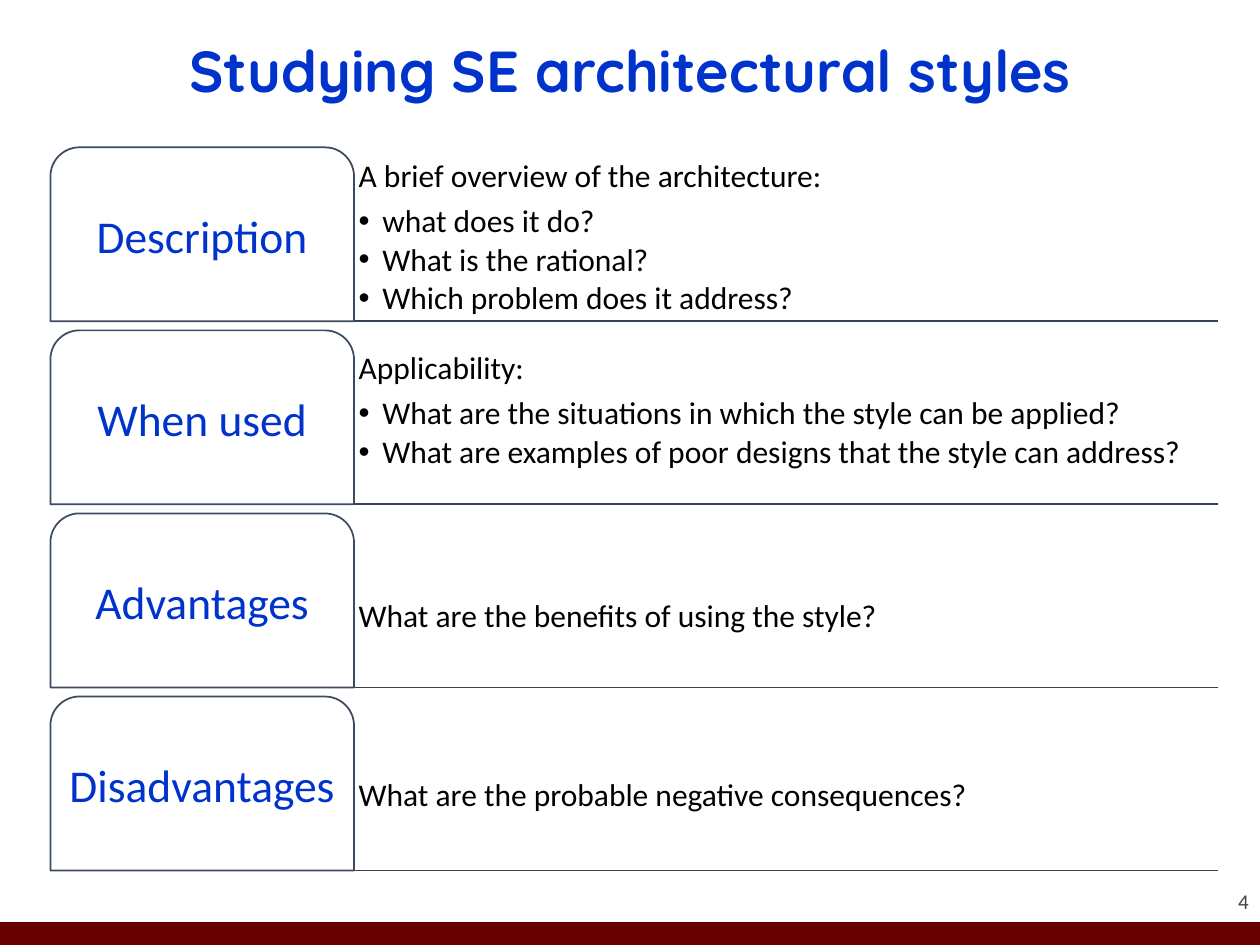
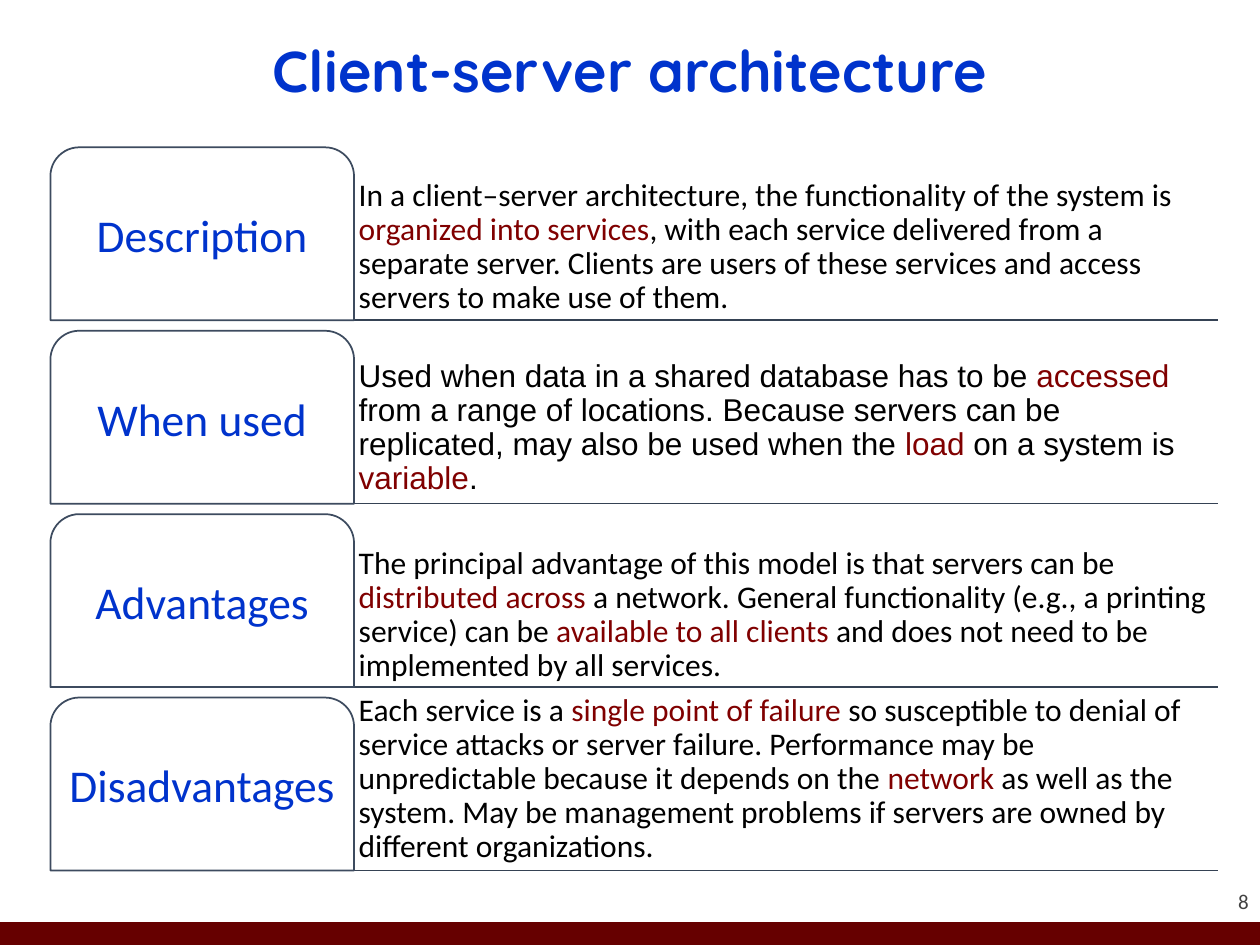
from pptx import Presentation
from pptx.dml.color import RGBColor
from pptx.enum.shapes import MSO_CONNECTOR, MSO_SHAPE
from pptx.enum.text import MSO_ANCHOR, PP_ALIGN
from pptx.oxml.ns import qn
from pptx.util import Pt
from lxml.etree import SubElement

HUES = {
    "band": "660000", "page": "424242", "blue": "0033CC", "rule": "354254",
    "edge": "3D4B5F", "white": "FFFFFF", "black": "000000", "key": "800000",
}
FORMS = {
    "title": {"name": "Quicksand", "size": Pt(33), "bold": True},
    "page": {"name": "Calibri", "size": Pt(12)},
    "label": {"name": "Calibri", "size": Pt(26)},
    "body": {"name": "Calibri", "size": Pt(18)},
    "plain": {"name": "Arial", "size": Pt(18)},
}
LABELS = ["Description", "When used", "Advantages", "Disadvantages"]
LEFT, TOP, WIDE, RIGHT = 28.8, 84.2, 173.5, 696.2
SPLIT = LEFT + WIDE

SLIDES = [
    {
        "title": "Studying SE architectural styles", "page": "4",
        "step": 104.6, "high": 99.4,
        "rows": [
            (84.2, 99.4, "body", [
                "A brief overview of the architecture:",
                "what does it do?",
                "What is the rational?",
                "Which problem does it address?",
            ]),
            (191.5, 79.9, "body", [
                "Applicability:",
                "What are the situations in which the style can be applied?",
                "What are examples of poor designs that the style can address?",
            ]),
            (318.2, 46.8, "body", ["What are the benefits of using the style?"]),
            (426.2, 41, "body", ["What are the probable negative consequences?"]),
        ],
    },
    {
        "title": "Client-server architecture", "page": "8",
        "step": 104.8, "high": 98.8,
        "rows": [
            (84.2, 98.6, "body", [
                "In a client–server architecture, the functionality of the system is "
                "|organized into services|, with each service delivered from a separate "
                "server. Clients are users of these services and access servers to make "
                "use of them.",
            ]),
            (187.9, 98.6, "plain", [
                "Used when data in a shared database has to be |accessed |from a range "
                "of locations. Because servers can be replicated, may also be used when "
                "the |load |on a system is |variable|.",
            ]),
            (291.6, 101.5, "body", [
                "The principal advantage of this model is that servers can be "
                "|distributed across |a network. General functionality (e.g., a printing "
                "service) can be |available to all clients| and does not need to be "
                "implemented by all services.",
            ]),
            (398.2, 98.6, "body", [
                "Each service is a |single point of failure |so susceptible to denial of "
                "service attacks or server failure. Performance may be unpredictable "
                "because it depends on the |network |as well as the system. May be "
                "management problems if servers are owned by different organizations.",
            ]),
        ],
    },
]


def color(name):
    return RGBColor.from_string(HUES[name])


def write(shape, paras, form, hue, align, anchor, inset, space=0.9):
    frame = shape.text_frame
    frame.word_wrap = True
    frame.vertical_anchor = anchor
    for side in ("left", "right", "top", "bottom"):
        setattr(frame, f"margin_{side}", Pt(inset))
    for i, text in enumerate(paras):
        para = frame.add_paragraph() if i else frame.paragraphs[0]
        para.alignment = align
        para.line_spacing = space
        if i:
            para.space_before = Pt(6.3 if i == 1 else 2.7)
            props = para._p.get_or_add_pPr()
            props.set("marL", str(Pt(13.5)))
            props.set("indent", str(Pt(-13.5)))
            SubElement(props, qn("a:buFont")).set("typeface", "Arial")
            SubElement(props, qn("a:buChar")).set("char", "•")
        for j, part in enumerate(text.split("|")):
            run = para.add_run()
            run.text = part
            for key, val in FORMS[form].items():
                setattr(run.font, key, val)
            run.font.color.rgb = color("key" if j % 2 else hue)


deck = Presentation()
deck.slide_width, deck.slide_height = Pt(720), Pt(540)

for page in SLIDES:
    slide = deck.slides.add_slide(deck.slide_layouts[6])
    shapes = slide.shapes

    band = shapes.add_shape(MSO_SHAPE.RECTANGLE, Pt(0), Pt(527), Pt(720), Pt(13))
    band.shadow.inherit = False
    band.fill.solid()
    band.fill.fore_color.rgb = color("band")
    band.line.fill.background()

    num = shapes.add_textbox(Pt(653.8), Pt(493.2), Pt(59.8), Pt(28.8))
    write(num, [page["page"]], "page", "page", PP_ALIGN.RIGHT, MSO_ANCHOR.BOTTOM, 0, 1.0)
    title = shapes.add_textbox(Pt(49.7), Pt(8.6), Pt(620.6), Pt(67.7))
    write(title, [page["title"]], "title", "blue", PP_ALIGN.CENTER, MSO_ANCHOR.MIDDLE, 3.6)

    for i, (label, row) in enumerate(zip(LABELS, page["rows"])):
        top = TOP + i * page["step"]
        base = top + page["high"]
        rule = shapes.add_connector(
            MSO_CONNECTOR.STRAIGHT, Pt(LEFT), Pt(base), Pt(RIGHT), Pt(base))
        rule.line.color.rgb = color("rule")
        rule.line.width = Pt(1)
        SubElement(rule._element.spPr, qn("a:effectLst"))

        y, high, form, paras = row
        note = shapes.add_textbox(Pt(SPLIT), Pt(y), Pt(RIGHT - SPLIT), Pt(high))
        write(note, paras, form, "black", PP_ALIGN.LEFT, MSO_ANCHOR.BOTTOM, 2.7)

        tab = shapes.add_shape(
            MSO_SHAPE.ROUND_2_SAME_RECTANGLE, Pt(LEFT), Pt(top), Pt(WIDE), Pt(page["high"]))
        tab.shadow.inherit = False
        tab.adjustments[0] = 0.167
        tab.adjustments[1] = 0
        tab.fill.solid()
        tab.fill.fore_color.rgb = color("white")
        tab.line.color.rgb = color("edge")
        tab.line.width = Pt(1)
        write(tab, [label], "label", "blue", PP_ALIGN.CENTER, MSO_ANCHOR.MIDDLE, 3.6)

deck.save("out.pptx")
